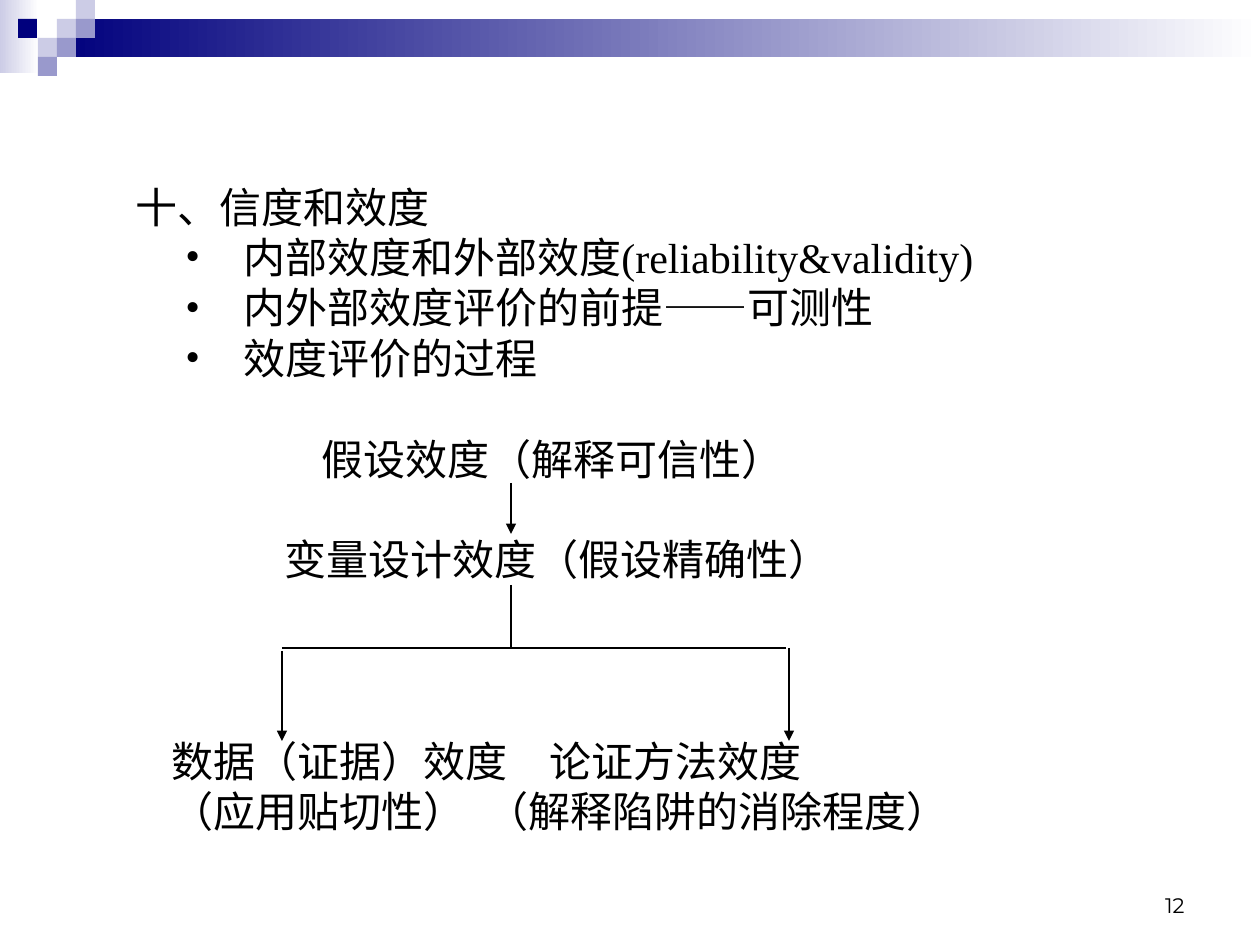
from dataclasses import dataclass
from typing import NamedTuple

from lxml.etree import SubElement
from pptx import Presentation
from pptx.dml.color import RGBColor
from pptx.enum.shapes import MSO_CONNECTOR, MSO_SHAPE
from pptx.enum.text import MSO_ANCHOR, PP_ALIGN
from pptx.oxml.ns import qn
from pptx.util import Emu, Pt


@dataclass(frozen=True)
class Theme:
    navy: str = "00007D"
    mid: str = "9999CC"
    pale: str = "CCCCE6"
    white: str = "FFFFFF"
    ink: str = "000000"
    serif: str = "Times New Roman"
    sans: str = "Montserrat"
    body: int = 24
    small: int = 12
    rule: float = 0.75
    pitch: float = 28.8


class Band(NamedTuple):
    left: int
    top: int
    width: int
    height: int
    start: str


class Tile(NamedTuple):
    left: int
    row: int
    fill: str


class Line(NamedTuple):
    words: tuple[str, ...]
    left: int = 0
    tab: int = 0
    hang: int = 0
    skip: int = 0


class Link(NamedTuple):
    x1: int
    y1: int
    x2: int
    y2: int
    arrow: bool = False


THEME = Theme()
SIDE = 19

BANDS = (
    Band(0, 0, 39, 73, THEME.pale),
    Band(57, 19, 1203, 38, THEME.navy),
)
TILES = (
    Tile(57, 1, THEME.pale),
    Tile(76, 0, THEME.pale),
    Tile(76, 1, THEME.mid),
    Tile(38, 2, THEME.pale),
    Tile(18, 1, THEME.navy),
    Tile(57, 2, THEME.mid),
    Tile(38, 3, THEME.mid),
)
LINES = (
    Line(("十、信度和效度",)),
    Line(("内部效度和外部效度", "(reliability&validity)"), left=108, hang=58),
    Line(("内外部效度评价的前提——可测性",), left=108, hang=58),
    Line(("效度评价的过程",), left=108, hang=58),
    Line(("假设效度（解释可信性）",), left=186, skip=1),
    Line(("变量设计效度（假设精确性）",), left=149, skip=1),
    Line(("数据（证据）效度", "\t", "论证方法效度"), left=36, tab=531, skip=3),
    Line(("（应用贴切性）", "\t", "（解释陷阱的消除程度）"), left=36, tab=445),
)
LINKS = (
    Link(511, 483, 511, 534, arrow=True),
    Link(282, 648, 786, 648),
    Link(789, 648, 789, 741, arrow=True),
    Link(511, 585, 511, 648),
    Link(282, 651, 282, 741, arrow=True),
)


def px(size: int) -> Emu:
    return Emu(round(size * 914400 / 126))


def rgb(code: str) -> RGBColor:
    return RGBColor.from_string(code)


def add_rect(slide, left: int, top: int, width: int, height: int):
    shape = slide.shapes.add_shape(
        MSO_SHAPE.RECTANGLE, px(left), px(top), px(width), px(height)
    )
    shape.shadow.inherit = False
    shape.line.fill.background()
    return shape


def add_band(slide, band: Band) -> None:
    fill = add_rect(slide, *band[:4]).fill
    fill.gradient()
    fill.gradient_angle = 0
    for stop, code in zip(fill.gradient_stops, (band.start, THEME.white)):
        stop.color.rgb = rgb(code)


def add_tile(slide, tile: Tile) -> None:
    fill = add_rect(slide, tile.left, tile.row * SIDE, SIDE, SIDE).fill
    fill.solid()
    fill.fore_color.rgb = rgb(tile.fill)


def add_frame(slide, left: int, top: int, width: int, height: int):
    frame = slide.shapes.add_textbox(
        px(left), px(top), px(width), px(height)
    ).text_frame
    frame.word_wrap = True
    return frame


def add_run(para, text: str, face: str, size: int) -> None:
    run = para.add_run()
    run.text = text
    run.font.name = face
    run.font.size = Pt(size)
    run.font.color.rgb = rgb(THEME.ink)


def add_line(para, line: Line) -> None:
    props = para._p.get_or_add_pPr()
    props.set("marL", str(px(line.left)))
    props.set("indent", str(-px(line.hang)))
    if line.hang:
        SubElement(props, qn("a:buFont"), typeface=THEME.serif)
        SubElement(props, qn("a:buChar"), char="•")
    if line.tab:
        tabs = SubElement(props, qn("a:tabLst"))
        SubElement(tabs, qn("a:tab"), pos=str(px(line.tab)), algn="l")
    if line.skip:
        para.space_before = Pt(line.skip * THEME.pitch)
    for word in line.words:
        add_run(para, word, THEME.serif, THEME.body)


def add_body(slide) -> None:
    frame = add_frame(slide, 123, 175, 931, 668)
    for place, line in enumerate(LINES):
        para = frame.add_paragraph() if place else frame.paragraphs[0]
        add_line(para, line)


def add_count(slide) -> None:
    frame = add_frame(slide, 903, 861, 294, 63)
    frame.vertical_anchor = MSO_ANCHOR.BOTTOM
    para = frame.paragraphs[0]
    para.alignment = PP_ALIGN.RIGHT
    add_run(para, "12", THEME.sans, THEME.small)


def add_link(slide, link: Link) -> None:
    wire = slide.shapes.add_connector(
        MSO_CONNECTOR.STRAIGHT, *(px(size) for size in link[:4])
    )
    wire.line.color.rgb = rgb(THEME.ink)
    wire.line.width = Pt(THEME.rule)
    props = wire._element.spPr
    if link.arrow:
        SubElement(props.find(qn("a:ln")), qn("a:tailEnd"), type="triangle")
    SubElement(props, qn("a:effectLst"))


def main() -> None:
    deck = Presentation()
    deck.slide_width, deck.slide_height = px(1260), px(945)
    slide = deck.slides.add_slide(deck.slide_layouts[6])
    for band in BANDS:
        add_band(slide, band)
    for tile in TILES:
        add_tile(slide, tile)
    add_count(slide)
    add_body(slide)
    for link in LINKS:
        add_link(slide, link)
    deck.save("out.pptx")


if __name__ == "__main__":
    main()
